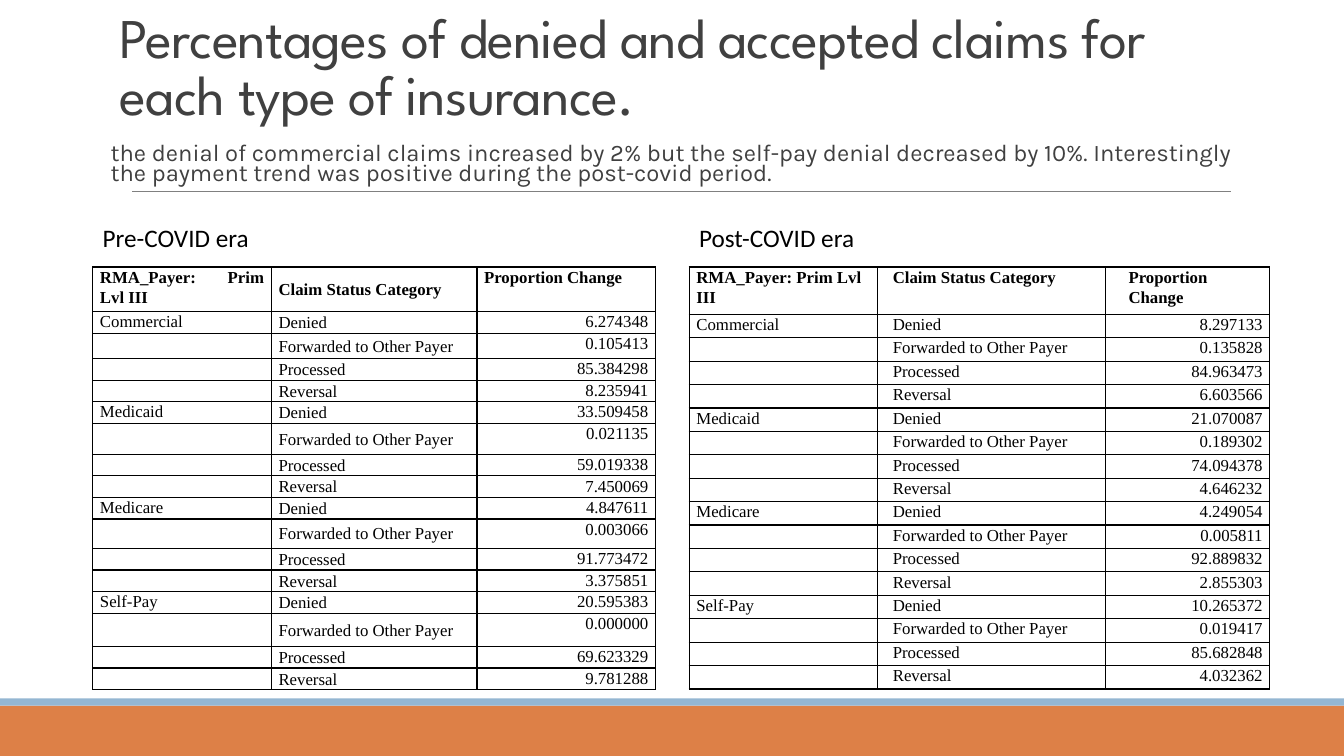
import pptx
import pptx.dml.color
import pptx.enum.shapes
import pptx.enum.text
import pptx.oxml
import pptx.oxml.ns
import pptx.util

Cm, Pt = pptx.util.Cm, pptx.util.Pt
RGB = pptx.dml.color.RGBColor
ALIGN, ANCHOR = pptx.enum.text.PP_ALIGN, pptx.enum.text.MSO_ANCHOR

ORANGE = RGB(0xDD, 0x80, 0x47)
BLUE = RGB(0x94, 0xB6, 0xD2)
GREY = RGB(0x80, 0x80, 0x80)
DARK = RGB(0x40, 0x40, 0x40)
BLACK = RGB(0, 0, 0)

TITLE_FONT = {"name": "League Spartan", "size": Pt(40), "bold": False}
NOTE_FONT = {"name": "Karla", "size": Pt(17)}
LABEL_FONT = {"name": "Calibri", "size": Pt(18)}
CELL_FONT = {"name": "Times New Roman", "size": Pt(12), "bold": False}
HEAD_FONT = {**CELL_FONT, "bold": True}
CELL_MARGINS = {"margin_left": Cm(0.18), "margin_right": Cm(0.18),
                "margin_top": 0, "margin_bottom": 0}

HEADERS = ["RMA_Payer: Prim Lvl III", "Claim Status Category", "Proportion Change"]
PAYERS = ["Commercial", "Medicaid", "Medicare", "Self-Pay"]
STATUSES = ["Denied", "Forwarded to Other Payer", "Processed", "Reversal"]

PRE = {
    "label": "Pre-COVID era",
    "values": ["6.274348", "0.105413", "85.384298", "8.235941",
               "33.509458", "0.021135", "59.019338", "7.450069",
               "4.847611", "0.003066", "91.773472", "3.375851",
               "20.595383", "0.000000", "69.623329", "9.781288"],
    "cols": [4.5, 5.18, 4.5],
    "head": 1.12, "row": 0.54,
    "forwarded": [0.64, 0.78, 0.74, 0.84],
    "indents": [0, 0, 0],
    "aligns": [ALIGN.JUSTIFY, ALIGN.LEFT, ALIGN.JUSTIFY],
    "status_anchor": ANCHOR.MIDDLE,
}
POST = {
    "label": "Post-COVID era",
    "values": ["8.297133", "0.135828", "84.963473", "6.603566",
               "21.070087", "0.189302", "74.094378", "4.646232",
               "4.249054", "0.005811", "92.889832", "2.855303",
               "10.265372", "0.019417", "85.682848", "4.032362"],
    "cols": [4.75, 5.74, 4.14],
    "head": 1.19, "row": 0.59,
    "forwarded": [0.59] * 4,
    "indents": [0, 0.2, 0.4],
    "aligns": [ALIGN.LEFT] * 3,
    "status_anchor": ANCHOR.TOP,
}


def apply(obj, values):
    for name, value in values.items():
        setattr(obj, name, value)


def write(p, text, font, color):
    r = p.add_run()
    r.text = text
    apply(r.font, font)
    r.font.color.rgb = color
    return r


def add_frame(s):
    """Footer bars and the rule under the heading."""
    for top, height, color in [(17.78, 1.27, ORANGE), (17.6, 0.18, BLUE)]:
        sp = s.shapes.add_shape(pptx.enum.shapes.MSO_SHAPE.RECTANGLE,
                                0, Cm(top), Cm(33.87), Cm(height))
        sp.shadow.inherit = False
        sp.fill.solid()
        sp.fill.fore_color.rgb = color
        sp.line.fill.background()
    rule = s.shapes.add_connector(pptx.enum.shapes.MSO_CONNECTOR.STRAIGHT,
                                  Cm(3.33), Cm(4.83), Cm(31.01), Cm(4.83))
    rule.line.color.rgb = GREY
    rule.line.width = Pt(0.5)
    rule._element.spPr.append(pptx.oxml.parse_xml(
        f'<a:effectLst {pptx.oxml.ns.nsdecls("a")}/>'))


def add_heading(s, left, top, width):
    """Title and the remark below it."""
    sp = s.shapes.title
    apply(sp, {"left": Cm(left), "top": Cm(top),
               "width": Cm(width), "height": Cm(2.77)})
    tf = sp.text_frame
    apply(tf, {"word_wrap": True, "vertical_anchor": ANCHOR.BOTTOM,
               "auto_size": pptx.enum.text.MSO_AUTO_SIZE.NONE})
    p = tf.paragraphs[0]
    apply(p, {"alignment": ALIGN.LEFT, "line_spacing": 0.85})
    r = write(p, "Percentages of denied and accepted claims for each type of insurance.",
              TITLE_FONT, DARK)
    r.font._element.set("spc", "-50")

    tf = s.shapes.add_textbox(Cm(left - 0.23), Cm(top + 2.97),
                              Cm(width), Cm(1.35)).text_frame
    apply(tf, {"word_wrap": True, "margin_left": Cm(0.25), "margin_right": 0})
    p = tf.paragraphs[0]
    apply(p, {"line_spacing": 0.7, "space_after": Pt(2)})
    write(p, "the denial of commercial claims increased by 2% but the self-pay denial "
             "decreased by 10%. Interestingly the payment trend was positive during "
             "the post-covid period.", NOTE_FONT, DARK)


def format_cell(cell, text, font, align, anchor, indent):
    apply(cell, {**CELL_MARGINS, "vertical_anchor": anchor})
    tcPr = cell._tc.get_or_add_tcPr()
    for side in "LRTB":
        tcPr.append(pptx.oxml.parse_xml(
            f'<a:ln{side} w="12700" {pptx.oxml.ns.nsdecls("a")}><a:solidFill>'
            f'<a:srgbClr val="{BLACK}"/></a:solidFill></a:ln{side}>'))
    cell.fill.background()
    p = cell.text_frame.paragraphs[0]
    apply(p, {"alignment": align, "line_spacing": 1.07})
    if indent:
        p._p.get_or_add_pPr().set("marL", str(Cm(indent)))
    if text:
        write(p, text, font, BLACK)
    else:
        # Keeps empty cells as low as the filled ones
        p._p.get_or_add_endParaRPr().set("sz", "1200")


def add_era(s, era, left, top):
    """Era label with its table of claim proportions."""
    tf = s.shapes.add_textbox(Cm(left), Cm(top), Cm(14.17), Cm(1.03)).text_frame
    tf.word_wrap = True
    write(tf.paragraphs[0], era["label"], LABEL_FONT, BLACK)

    rows = [HEADERS]
    heights = [era["head"]]
    for i, value in enumerate(era["values"]):
        group, item = divmod(i, len(STATUSES))
        rows.append([PAYERS[group] if item == 0 else "", STATUSES[item], value])
        heights.append(era["forwarded"][group] if item == 1 else era["row"])

    table = s.shapes.add_table(len(rows), len(HEADERS), Cm(left), Cm(top + 1.24),
                               Cm(sum(era["cols"])), Cm(sum(heights))).table
    apply(table, {"first_row": False, "horz_banding": False})
    for col, width in zip(table.columns, era["cols"]):
        col.width = Cm(width)
    for i, (row, height) in enumerate(zip(rows, heights)):
        table.rows[i].height = Cm(height)
        for j, text in enumerate(row):
            format_cell(table.cell(i, j), text,
                        HEAD_FONT if i == 0 else CELL_FONT,
                        ALIGN.RIGHT if i and j == 2 else era["aligns"][j],
                        era["status_anchor"] if j == 1 else ANCHOR.TOP,
                        era["indents"][j])


def main():
    prs = pptx.Presentation()
    prs.slide_width, prs.slide_height = Cm(33.87), Cm(19.05)
    s = prs.slides.add_slide(prs.slide_layouts[5])
    add_frame(s)
    add_heading(s, 2.77, 0.56, 29.21)
    add_era(s, POST, 17.37, 5.49)
    add_era(s, PRE, 2.34, 5.49)
    prs.save("out.pptx")


if __name__ == "__main__":
    main()
